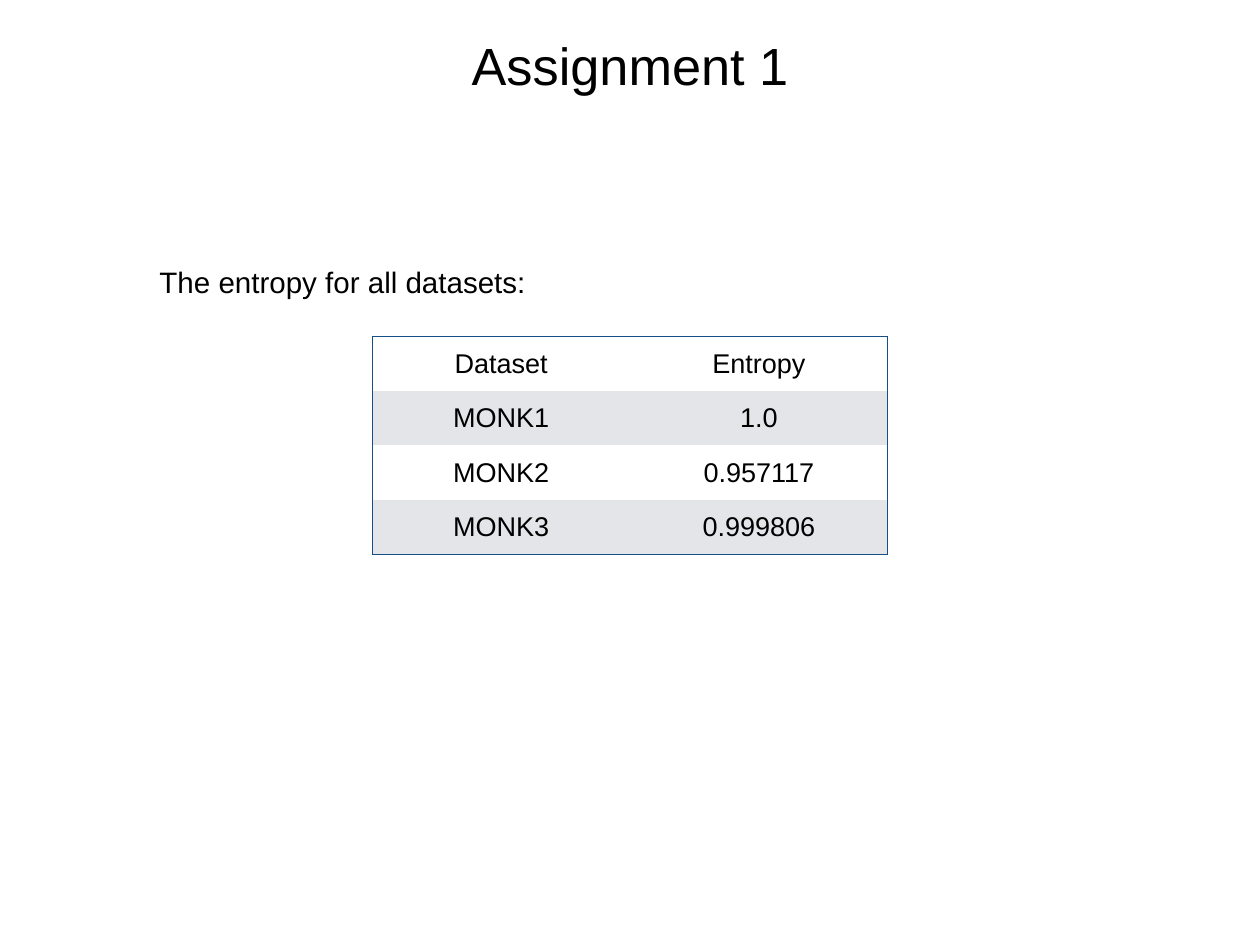
import pptx
import pptx.dml.color
import pptx.enum.text
import pptx.oxml
import pptx.oxml.ns
import pptx.util

WIDTH, HEIGHT = 14.22, 10.67
BLACK, WHITE, GREY, BLUE = "000000", "FFFFFF", "E3E5E8", "164F86"
INSET = pptx.util.Inches(0.06)
CENTER = pptx.enum.text.PP_ALIGN.CENTER
LEFT = pptx.enum.text.PP_ALIGN.LEFT
MIDDLE = pptx.enum.text.MSO_ANCHOR.MIDDLE

ENTROPY = [
    ("Dataset", "Entropy"),
    ("MONK1", "1.0"),
    ("MONK2", "0.957117"),
    ("MONK3", "0.999806"),
]


def rgb(value):
    """Turn a hex string into a colour."""
    return pptx.dml.color.RGBColor.from_string(value)


def set_all(obj, values):
    """Set each attribute named in a dict of format values."""
    for name, value in values.items():
        setattr(obj, name, value)


def box(left, top, width, height):
    """Turn inches into the four lengths of a frame."""
    return [pptx.util.Inches(v) for v in (left, top, width, height)]


def write(tf, text, size, **paragraph):
    """Write one formatted paragraph into a text frame."""
    p = tf.paragraphs[0]
    set_all(p, paragraph)
    r = p.add_run()
    r.text = text
    set_all(r.font, {"name": "Arial", "size": pptx.util.Pt(size), "bold": False})
    r.font.color.rgb = rgb(BLACK)


def format_frame(tf):
    """Give a text frame its insets, wrapping and middle anchor."""
    set_all(tf, {"margin_left": INSET, "margin_right": INSET,
                 "margin_top": INSET, "margin_bottom": INSET,
                 "word_wrap": True, "vertical_anchor": MIDDLE})


def add_title(slide, text, frame):
    """Place and fill the title placeholder."""
    sp = slide.shapes.title
    set_all(sp, dict(zip(("left", "top", "width", "height"), box(*frame))))
    format_frame(sp.text_frame)
    write(sp.text_frame, text, 42.5, alignment=CENTER)


def add_text(slide, text, frame):
    """Add a line of text above the table."""
    tf = slide.shapes.add_textbox(*box(*frame)).text_frame
    format_frame(tf)
    write(tf, text, 24, alignment=LEFT, line_spacing=1.5)


def set_borders(cell, outer):
    """Draw the edges that lie on the table's outline and clear the others."""
    tcPr = cell._tc.get_or_add_tcPr()
    for side in "LRTB":
        paint = (f'<a:solidFill><a:srgbClr val="{BLUE}"/></a:solidFill>'
                 if side in outer else "<a:noFill/>")
        tcPr.append(pptx.oxml.parse_xml(
            f'<a:ln{side} {pptx.oxml.ns.nsdecls("a")} w="{pptx.util.Pt(1)}">'
            f"{paint}</a:ln{side}>"))


def add_table(slide, rows, frame):
    """Add an outlined table with banded rows of equal height."""
    n_rows, n_cols = len(rows), len(rows[0])
    table = slide.shapes.add_table(n_rows, n_cols, *box(*frame)).table
    set_all(table, {"first_row": False, "horz_banding": False})
    for i, row in enumerate(rows):
        for j, text in enumerate(row):
            cell = table.cell(i, j)
            edges = {"L": j == 0, "R": j == n_cols - 1,
                     "T": i == 0, "B": i == n_rows - 1}
            set_borders(cell, [side for side, on in edges.items() if on])
            set_all(cell, {"margin_left": INSET, "margin_right": INSET,
                           "margin_top": INSET, "margin_bottom": INSET,
                           "vertical_anchor": MIDDLE})
            cell.fill.solid()
            cell.fill.fore_color.rgb = rgb(GREY if i % 2 else WHITE)
            write(cell.text_frame, text, 22, alignment=CENTER)


def centred(top, width, height):
    """Frame centred across the slide."""
    return (WIDTH - width) / 2, top, width, height


def main():
    """Build the slide and save it."""
    prs = pptx.Presentation()
    set_all(prs, {"slide_width": pptx.util.Inches(WIDTH),
                  "slide_height": pptx.util.Inches(HEIGHT)})
    slide = prs.slides.add_slide(prs.slide_layouts.get_by_name("Title Only"))
    add_title(slide, "Assignment 1", centred(0.29, 8.12, 0.88))
    add_table(slide, ENTROPY, centred(3.8, 5.82, 2.46))
    add_text(slide, "The entropy for all datasets:", centred(2.83, 10.74, 0.5))
    prs.save("out.pptx")


main()
